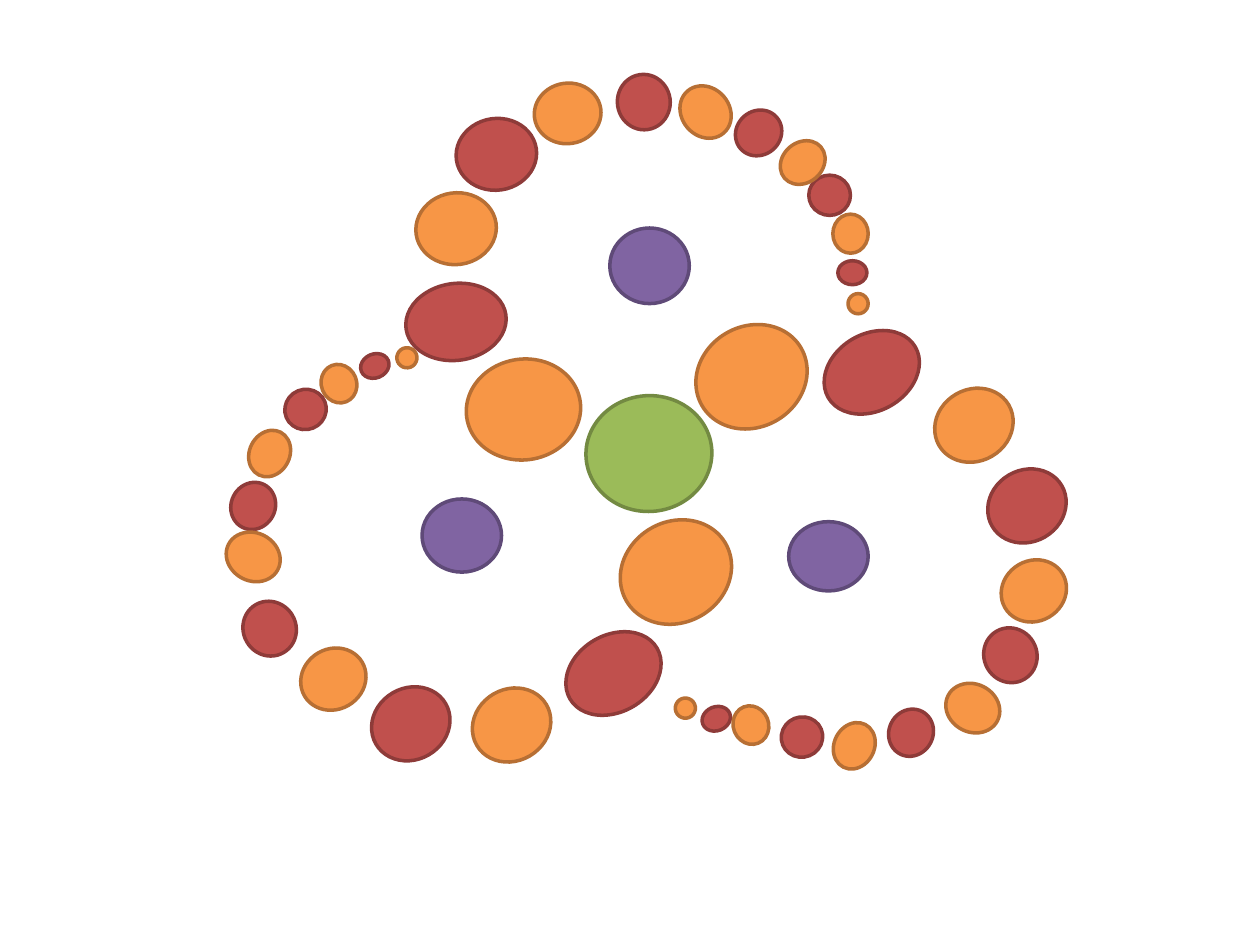
"""Build a slide of three bead arms curling round a green core."""
import dataclasses

import pptx
import pptx.dml.color
import pptx.enum.shapes
import pptx.util

Pt = pptx.util.Pt


@dataclasses.dataclass(frozen=True)
class Theme:
    """Fill and line colours of the dots, and the line width."""
    orange: tuple = ("F79646", "B76F34")
    red: tuple = ("C0504D", "8E3B39")
    green: tuple = ("9BBB59", "738A42")
    purple: tuple = ("8064A2", "5F4A78")
    line: float = 2


THEME = Theme()

SIZES = [
    (11.5, 11.5), (16.6, 13.7), (20.2, 22.3), (23.8, 23),
    (27.4, 23), (27.4, 25.2), (27.4, 31.7),
    (30.2, 31.7), (38.2, 34.6), (46.1, 41), (46.1, 41),
    (57.6, 43.9), (65.5, 57.6),
]

TOP = [
    (484.6, 167.8), (478.8, 149), (475.9, 122.4), (462.2, 100.1),
    (445, 81.4), (419.8, 63.4), (389.5, 48.2),
    (352.8, 42.5), (305.3, 47.5), (260.6, 67.7), (237.6, 110.2),
    (231.8, 162), (266.4, 205.2),
]
LEFT = [
    (226.8, 198.7), (205.9, 202.3), (183.6, 208.1), (162.7, 222.5),
    (140.4, 247.7), (131, 276.5), (131, 302.4),
    (139, 343.4), (171.4, 370.8), (211.7, 393.1), (269.3, 393.8),
    (321.8, 362.9), (353.5, 298.1),
]
RIGHT = [
    (385.9, 398.9), (401, 403.9), (419, 403.2), (446.4, 409.7),
    (474.5, 414.7), (506.9, 406.1), (542.2, 388.8),
    (562.3, 358.6), (571.7, 320.4), (563.8, 268.6), (533.5, 222.5),
    (469.4, 190.8), (396.7, 186.5),
]

EYES = [
    (241.2, 285.1, 45.4, 41.8),
    (450.7, 298.1, 45.4, 39.6),
    (348.5, 130.3, 45.4, 43.2),
]


def dot(slide, box, tone, turn=0):
    """Add one outlined ellipse."""
    shape = slide.shapes.add_shape(
        pptx.enum.shapes.MSO_SHAPE.OVAL, *[Pt(n) for n in box])
    shape.shadow.inherit = False
    shape.rotation = turn
    fill, edge = [pptx.dml.color.RGBColor.from_string(c) for c in tone]
    shape.fill.solid()
    shape.fill.fore_color.rgb = fill
    shape.line.color.rgb = edge
    shape.line.width = Pt(THEME.line)


def arm(slide, spots, tail, bend, base):
    """Add one arm of beads, turned by its three parts from tail to base."""
    turns = [tail] * 4 + [bend] * 3 + [base] * 6
    for i, (spot, size, turn) in enumerate(zip(spots, SIZES, turns)):
        tone = THEME.red if i % 2 else THEME.orange
        dot(slide, spot + size, tone, turn)


def main():
    """Build and save the slide."""
    deck = pptx.Presentation()
    deck.slide_width, deck.slide_height = Pt(720), Pt(540)
    slide = deck.slides.add_slide(deck.slide_layouts[6])
    for eye in EYES:
        dot(slide, eye, THEME.purple)
    arm(slide, TOP, 0, 319.4, 351.9)
    dot(slide, (334.8, 226.1, 72, 66.2), THEME.green, 356.1)
    for spots in (LEFT, RIGHT):
        arm(slide, spots, 337.8, 297.1, 329.7)
    deck.save("out.pptx")


if __name__ == "__main__":
    main()
